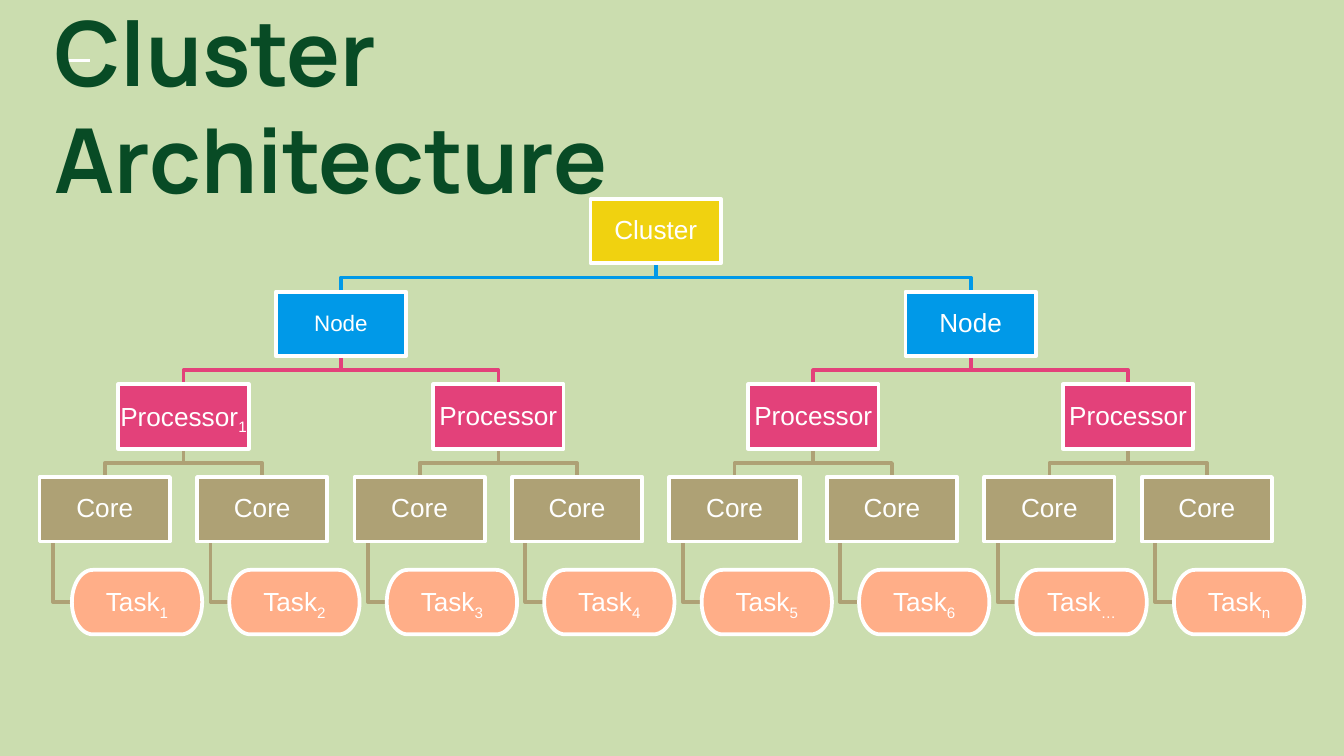
from dataclasses import dataclass

from lxml import etree
from pptx import Presentation
from pptx import util as u
from pptx.dml.color import RGBColor
from pptx.enum import shapes, text
from pptx.oxml.ns import qn


@dataclass(frozen=True)
class Theme:
    background: str = "CBDDAF"
    title: str = "084B25"
    white: str = "FFFFFF"
    cluster: str = "F0D210"
    node: str = "0099E8"
    processor: str = "E3417A"
    core: str = "AEA175"
    task: str = "FFAE88"
    title_font: str = "Manrope"
    body_font: str = "Arial"
    title_size: float = 48
    label_size: float = 14
    small_size: float = 12
    line_width: float = 2


THEME = Theme()
SLIDE_WIDTH = 10
SLIDE_HEIGHT = SLIDE_WIDTH * 9 / 16
BOX_WIDTH, BOX_HEIGHT = 0.97, 0.48
TOP, LEVEL_STEP = 1.48, 0.69
FIRST_CENTER, LAST_CENTER, CORES = 0.78, 8.98, 8
CORE_STEP = (LAST_CENTER - FIRST_CENTER) / (CORES - 1)
TASK_INDENT = 0.24
STEM_INDENT = 0.1

# Each level: label, colour, subscripts from left to right
LEVELS = [
    ("Cluster", THEME.cluster, [""]),
    ("Node", THEME.node, ["", ""]),
    ("Processor", THEME.processor, ["1", "", "", ""]),
    ("Core", THEME.core, [""] * CORES),
]
TASK_SUBSCRIPTS = ["1", "2", "3", "4", "5", "6", "…", "n"]


def level_top(level):
    return TOP + level * LEVEL_STEP


def box_center(level, index):
    """Centre a box over the cores that stand below it."""
    span = CORES // len(LEVELS[level][2])
    return FIRST_CENTER + (index * span + (span - 1) / 2) * CORE_STEP


class SlideBuilder:
    def __init__(self, slide, theme):
        self.slide = slide
        self.theme = theme
        self.set_fill(slide.background.fill, theme.background)

    def set_fill(self, fill, color):
        fill.solid()
        fill.fore_color.rgb = RGBColor.from_string(color)

    def set_line(self, shape, color, width):
        shape.line.color.rgb = RGBColor.from_string(color)
        shape.line.width = u.Pt(width)

    def set_font(self, paragraph, name, size, color, bold=False):
        font = paragraph.font
        font.name, font.size, font.bold = name, u.Pt(size), bold
        font.color.rgb = RGBColor.from_string(color)

    def set_frame(self, frame, margin):
        frame.word_wrap = True
        frame.vertical_anchor = text.MSO_ANCHOR.MIDDLE
        frame.margin_left = frame.margin_right = u.Inches(margin)
        frame.margin_top = frame.margin_bottom = u.Inches(margin)

    def title(self, words, left, top, width, height):
        shape = self.slide.shapes.add_textbox(
            u.Inches(left), u.Inches(top), u.Inches(width), u.Inches(height))
        self.set_frame(shape.text_frame, 0.1)
        paragraph = shape.text_frame.paragraphs[0]
        paragraph.add_run().text = words
        theme = self.theme
        self.set_font(paragraph, theme.title_font, theme.title_size, theme.title, True)

    def dash(self, left, right, y):
        connector = self.slide.shapes.add_connector(
            shapes.MSO_CONNECTOR.STRAIGHT,
            u.Inches(left), u.Inches(y), u.Inches(right), u.Inches(y))
        self.set_line(connector, self.theme.white, 1.5)
        etree.SubElement(connector.element.spPr, qn("a:effectLst"))

    def branch(self, points, color):
        """Draw an open line with right-angled turns."""
        start, *rest = [(u.Inches(x), u.Inches(y)) for x, y in points]
        builder = self.slide.shapes.build_freeform(*start)
        builder.add_line_segments(rest, close=False)
        shape = builder.convert_to_shape()
        shape.shadow.inherit = False
        shape.fill.background()
        self.set_line(shape, color, self.theme.line_width)

    def box(self, kind, left, top, color, label, subscript="", size=None):
        theme = self.theme
        shape = self.slide.shapes.add_shape(
            kind, u.Inches(left), u.Inches(top),
            u.Inches(BOX_WIDTH), u.Inches(BOX_HEIGHT))
        shape.shadow.inherit = False
        self.set_fill(shape.fill, color)
        self.set_line(shape, theme.white, theme.line_width)
        self.set_frame(shape.text_frame, 0.01)
        paragraph = shape.text_frame.paragraphs[0]
        paragraph.alignment = text.PP_ALIGN.CENTER
        paragraph.line_spacing = 0.9
        self.set_font(paragraph, theme.body_font, size or theme.label_size, theme.white)
        paragraph.add_run().text = label
        if subscript:
            run = paragraph.add_run()
            run.text = subscript
            run.font._element.set("baseline", "-25000")


def draw_branches(builder):
    for level in range(1, len(LEVELS)):
        _, color, subscripts = LEVELS[level]
        parent_bottom = level_top(level - 1) + BOX_HEIGHT
        child_top = level_top(level)
        middle = (parent_bottom + child_top) / 2
        for index in range(len(subscripts)):
            parent = box_center(level - 1, index // 2)
            child = box_center(level, index)
            builder.branch([(parent, parent_bottom), (parent, middle),
                            (child, middle), (child, child_top)], color)

    core_level = len(LEVELS) - 1
    task_middle = level_top(core_level + 1) + BOX_HEIGHT / 2
    for index in range(CORES):
        left = box_center(core_level, index) - BOX_WIDTH / 2
        stem = left + STEM_INDENT
        builder.branch([(stem, level_top(core_level) + BOX_HEIGHT),
                        (stem, task_middle),
                        (left + TASK_INDENT, task_middle)], THEME.core)


def draw_boxes(builder):
    for level, (label, color, subscripts) in enumerate(LEVELS):
        for index, subscript in enumerate(subscripts):
            first_node = label == "Node" and index == 0
            builder.box(shapes.MSO_SHAPE.RECTANGLE,
                        box_center(level, index) - BOX_WIDTH / 2, level_top(level),
                        color, label, subscript,
                        THEME.small_size if first_node else None)

    for index, subscript in enumerate(TASK_SUBSCRIPTS):
        left = box_center(len(LEVELS) - 1, index) - BOX_WIDTH / 2 + TASK_INDENT
        builder.box(shapes.MSO_SHAPE.FLOWCHART_TERMINATOR, left,
                    level_top(len(LEVELS)), THEME.task, "Task", subscript)


def main():
    presentation = Presentation()
    presentation.slide_width = u.Inches(SLIDE_WIDTH)
    presentation.slide_height = u.Inches(SLIDE_HEIGHT)
    slide = presentation.slides.add_slide(presentation.slide_layouts[6])
    builder = SlideBuilder(slide, THEME)
    builder.dash(0.47, 0.67, 0.45)
    draw_branches(builder)
    draw_boxes(builder)
    builder.title("Cluster Architecture", 0.31, 0.37, 6.83, 0.81)
    presentation.save("out.pptx")


if __name__ == "__main__":
    main()
